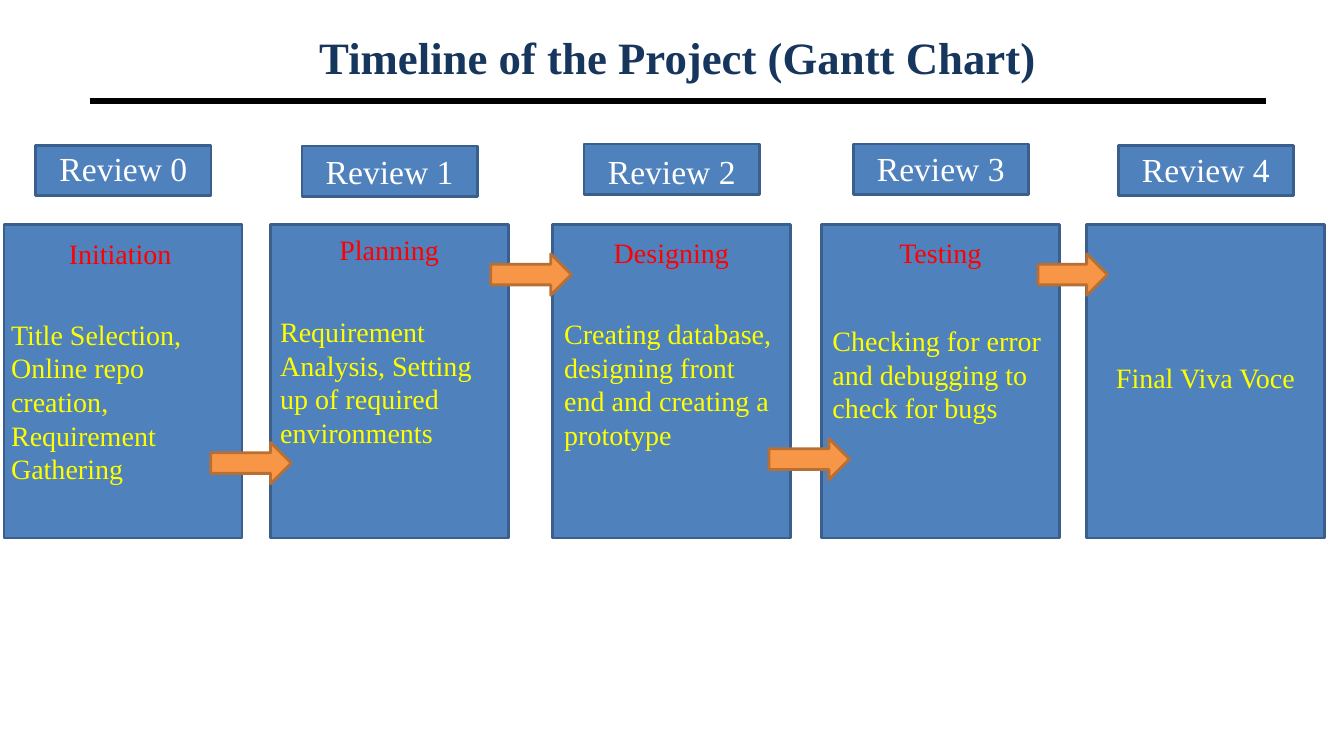
from collections import namedtuple

from lxml import etree
from pptx import Presentation
from pptx.dml.color import RGBColor
from pptx.enum.shapes import MSO_CONNECTOR, MSO_SHAPE
from pptx.enum.text import MSO_ANCHOR, PP_ALIGN
from pptx.oxml.ns import qn
from pptx.util import Cm, Pt

RECTANGLE = MSO_SHAPE.RECTANGLE
RIGHT_ARROW = MSO_SHAPE.RIGHT_ARROW
STRAIGHT = MSO_CONNECTOR.STRAIGHT
LEFT, CENTER = PP_ALIGN.LEFT, PP_ALIGN.CENTER
TOP, MIDDLE = MSO_ANCHOR.TOP, MSO_ANCHOR.MIDDLE

FONT = "Times New Roman"
BLUE, BLUE_EDGE = "4F81BD", "3A5F8C"
ORANGE, ORANGE_EDGE = "F79646", "B76F34"
NAVY, WHITE, RED, YELLOW, BLACK = "17365D", "FFFFFF", "FF0000", "FFFF00", "000000"

CARD_TOP, CARD_WIDTH, CARD_HEIGHT = 5.66, 6, 7.9
HEAD_INSET, HEAD_WIDTH, HEAD_HEIGHT = 0.8, 4.42, 1.27

Stage = namedtuple(
    "Stage", "left head_top label_top text_left phase phase_top tasks tasks_top tasks_height align")
STAGES = [
    Stage(0.1, 3.66, 3.61, 0.03, "Initiation", 5.84,
          ["Title Selection, Online repo creation,", "Requirement Gathering"], 7.87, 4.52, LEFT),
    Stage(6.81, 3.68, 3.68, 6.81, "Planning", 5.74,
          ["Requirement Analysis, Setting up of required environments"], 7.8, 3.68, LEFT),
    Stage(13.92, 3.63, 3.68, 13.97, "Designing", 5.82,
          ["Creating database, designing front end and creating a prototype"], 7.85, 3.68, LEFT),
    Stage(20.7, 3.63, 3.61, 20.73, "Testing", 5.82,
          ["Checking for error and debugging to check for bugs"], 8.03, 2.82, LEFT),
    Stage(27.38, 3.66, 3.63, 27.41, None, None,
          ["Final Viva Voce"], 8.97, 1.12, CENTER),
]

# left, top, width
ARROWS = [(5.31, 11.15, 2.03), (12.37, 6.4, 2.03), (19.38, 11.05, 2.03), (26.16, 6.4, 1.75)]
ARROW_HEIGHT = 1.04


def color(hex_code):
    return RGBColor.from_string(hex_code)


def add_block(page, kind, left, top, width, height, fill, edge):
    block = page.shapes.add_shape(kind, Cm(left), Cm(top), Cm(width), Cm(height))
    block.shadow.inherit = False
    block.fill.solid()
    block.fill.fore_color.rgb = color(fill)
    block.line.color.rgb = color(edge)
    block.line.width = Pt(2)


def add_text(page, paragraphs, left, top, width, height, size, hex_code,
             align=CENTER, anchor=TOP, bold=False):
    box = page.shapes.add_textbox(Cm(left), Cm(top), Cm(width), Cm(height))
    frame = box.text_frame
    frame.word_wrap = True
    frame.vertical_anchor = anchor
    font_format = {"name": FONT, "size": Pt(size), "bold": bold}
    for index, words in enumerate(paragraphs):
        para = frame.add_paragraph() if index else frame.paragraphs[0]
        para.alignment = align
        span = para.add_run()
        span.text = words
        for attribute, value in font_format.items():
            setattr(span.font, attribute, value)
        span.font.color.rgb = color(hex_code)


def add_rule(page, left, right, top):
    rule = page.shapes.add_connector(STRAIGHT, Cm(left), Cm(top), Cm(right), Cm(top))
    rule.line.color.rgb = color(BLACK)
    rule.line.width = Pt(4.5)
    etree.SubElement(rule.element.spPr, qn("a:effectLst"))


def add_stage_blocks(page, number, stage):
    head_left = stage.left + HEAD_INSET
    add_block(page, RECTANGLE, head_left, stage.head_top, HEAD_WIDTH, HEAD_HEIGHT,
              BLUE, BLUE_EDGE)
    add_text(page, [f"Review {number}"], head_left, stage.label_top, HEAD_WIDTH, HEAD_HEIGHT,
             24, WHITE)
    add_block(page, RECTANGLE, stage.left, CARD_TOP, CARD_WIDTH, CARD_HEIGHT, BLUE, BLUE_EDGE)


def add_stage_words(page, stage):
    if stage.phase:
        phase_left = min(stage.left, stage.text_left)
        add_text(page, [stage.phase], phase_left, stage.phase_top, CARD_WIDTH, 1.12, 20, RED)
    add_text(page, stage.tasks, stage.text_left, stage.tasks_top, 5.94, stage.tasks_height,
             20, YELLOW, stage.align)


def main():
    deck = Presentation()
    deck.slide_width, deck.slide_height = Cm(33.87), Cm(19.05)
    page = deck.slides.add_slide(deck.slide_layouts[6])

    add_rule(page, 2.26, 31.9, 2.54)
    add_text(page, ["Timeline of the Project (Gantt Chart)"], 2.26, 0.76, 29.64, 1.35,
             32, NAVY, anchor=MIDDLE, bold=True)
    for number, stage in enumerate(STAGES):
        add_stage_blocks(page, number, stage)
    for left, top, width in ARROWS:
        add_block(page, RIGHT_ARROW, left, top, width, ARROW_HEIGHT, ORANGE, ORANGE_EDGE)
    for stage in STAGES:
        add_stage_words(page, stage)

    deck.save("out.pptx")


if __name__ == "__main__":
    main()
